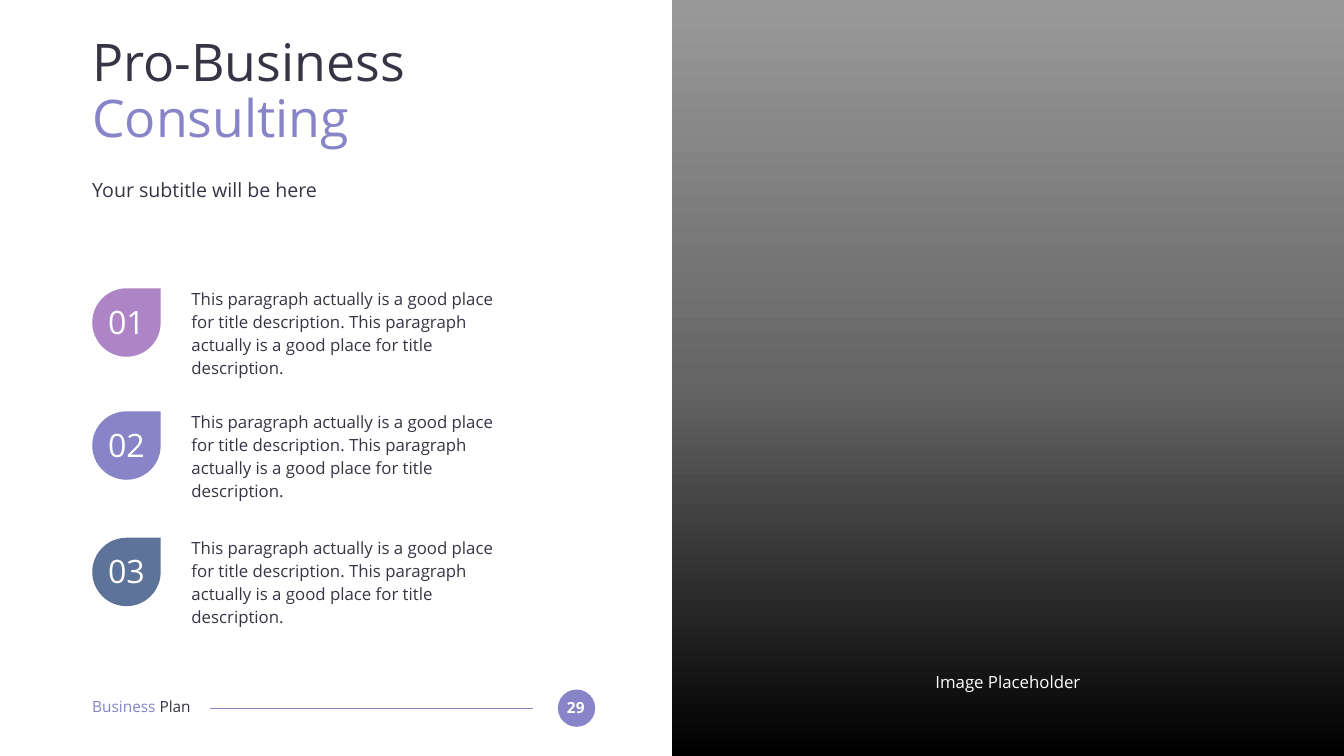
from copy import deepcopy

from pptx import Presentation
from pptx import util as u
from pptx.dml import color
from pptx.enum import shapes, text
from pptx.oxml import ns, xmlchemy

COLORS = {
    "ink": "373545",
    "violet": "8784C7",
    "mauve": "AD84C6",
    "slate": "5D739A",
    "white": "FFFFFF",
}
FADE = [(0, "000000"), (0.5, "666666"), (1, "999999")]
FONT = "Open Sans"
DESCRIPTION = (
    "This paragraph actually is a good place for title description. "
    "This paragraph actually is a good place for title description."
)
POINTS = [("01", "mauve", 14.53), ("02", "violet", 20.73), ("03", "slate", 27.1)]


def rgb(name):
    """Return the named palette colour."""
    return color.RGBColor.from_string(COLORS[name])


def add_text(slide, box, runs, size, align="LEFT", spacing=1.0, anchor="MIDDLE", bold=False):
    """Write one paragraph of (wording, colour) runs in a box given in centimetres."""
    frame = slide.shapes.add_textbox(*map(u.Cm, box)).text_frame
    frame_format = {
        "word_wrap": True,
        "vertical_anchor": getattr(text.MSO_ANCHOR, anchor),
        "margin_left": 0,
        "margin_top": 0,
        "margin_right": 0,
        "margin_bottom": 0,
    }
    for key, value in frame_format.items():
        setattr(frame, key, value)
    paragraph = frame.paragraphs[0]
    paragraph.alignment = getattr(text.PP_ALIGN, align)
    paragraph.line_spacing = spacing
    for wording, tint in runs:
        run = paragraph.add_run()
        run.text = wording
        for key, value in {"name": FONT, "size": u.Pt(size), "bold": bold}.items():
            setattr(run.font, key, value)
        run.font.color.rgb = rgb(tint)


def add_plain_shape(slide, kind, box, tint=None):
    """Add a preset shape without outline or shadow, filled if a colour is named."""
    shape = slide.shapes.add_shape(getattr(shapes.MSO_SHAPE, kind), *map(u.Cm, box))
    shape.shadow.inherit = False
    shape.line.fill.background()
    if tint:
        shape.fill.solid()
        shape.fill.fore_color.rgb = rgb(tint)
    return shape


def add_heading(slide, left, top, width):
    """Place the two-colour title and the subtitle."""
    title = [("Pro-Business ", "ink"), ("Consulting", "violet")]
    subtitle = [("Your subtitle will be here", "ink")]
    add_text(slide, (left, top, width, 6.4), title, 74, spacing=0.9, anchor="TOP")
    add_text(slide, (left, top + 7.27, width, 1.24), subtitle, 28, spacing=0.9, anchor="TOP")


def add_point(slide, left, top, number, tint):
    """Place a numbered drop with its description."""
    add_plain_shape(slide, "TEAR", (left, top, 3.45, 3.45), tint)
    add_text(slide, (left + 0.33, top + 0.69, 2.79, 1.96), [(number, "white")], 46, "CENTER")
    add_text(slide, (left + 5, top - 0.13, 15.95, 3.89), [(DESCRIPTION, "ink")], 24,
             spacing=1.14, anchor="TOP")


def add_footer(slide, left, top):
    """Place the deck name, the rule and the page number."""
    middle = top + 0.94
    rule = slide.shapes.add_connector(
        shapes.MSO_CONNECTOR.STRAIGHT,
        *map(u.Cm, (left + 22.2, middle, left + 5.92, middle)),
    )
    rule.line.color.rgb = rgb("violet")
    rule.line.width = u.Pt(1.5)
    rule._element.spPr.append(xmlchemy.OxmlElement("a:effectLst"))
    add_plain_shape(slide, "OVAL", (left + 23.47, top, 1.88, 1.88), "violet")
    add_text(slide, (left + 23.62, top + 0.43, 1.5, 0.94), [("29", "white")], 22, "CENTER", bold=True)
    deck = [("Business ", "violet"), ("Plan", "ink")]
    add_text(slide, (left, top + 0.4, 6.58, 0.94), deck, 22)


def add_image_area(slide, left, top, width, height):
    """Place the shaded image area with its caption."""
    area = add_plain_shape(slide, "RECTANGLE", (left, top, width, height))
    area.fill.gradient()
    stops = next(area._element.spPr.iter(ns.qn("a:gsLst")))
    stops.append(deepcopy(stops[0]))
    for stop, (position, shade) in zip(area.fill.gradient_stops, FADE):
        stop.position = position
        stop.color.rgb = color.RGBColor.from_string(shade)
    area.fill.gradient_angle = 90
    caption = (left + 7.99, top + 33.83, 17.88, 1.02)
    add_text(slide, caption, [("Image Placeholder", "white")], 24, "CENTER")


def main():
    """Build and save the slide."""
    deck = Presentation()
    deck.slide_width, deck.slide_height = u.Cm(67.74), u.Cm(38.1)
    slide = deck.slides.add_slide(deck.slide_layouts[6])
    margin = 4.65
    add_footer(slide, margin, 34.75)
    add_heading(slide, margin, 1.85, 25.15)
    for number, tint, top in POINTS:
        add_point(slide, margin, top, number, tint)
    add_image_area(slide, 33.87, 0, 33.87, 38.1)
    deck.save("out.pptx")


if __name__ == "__main__":
    main()
